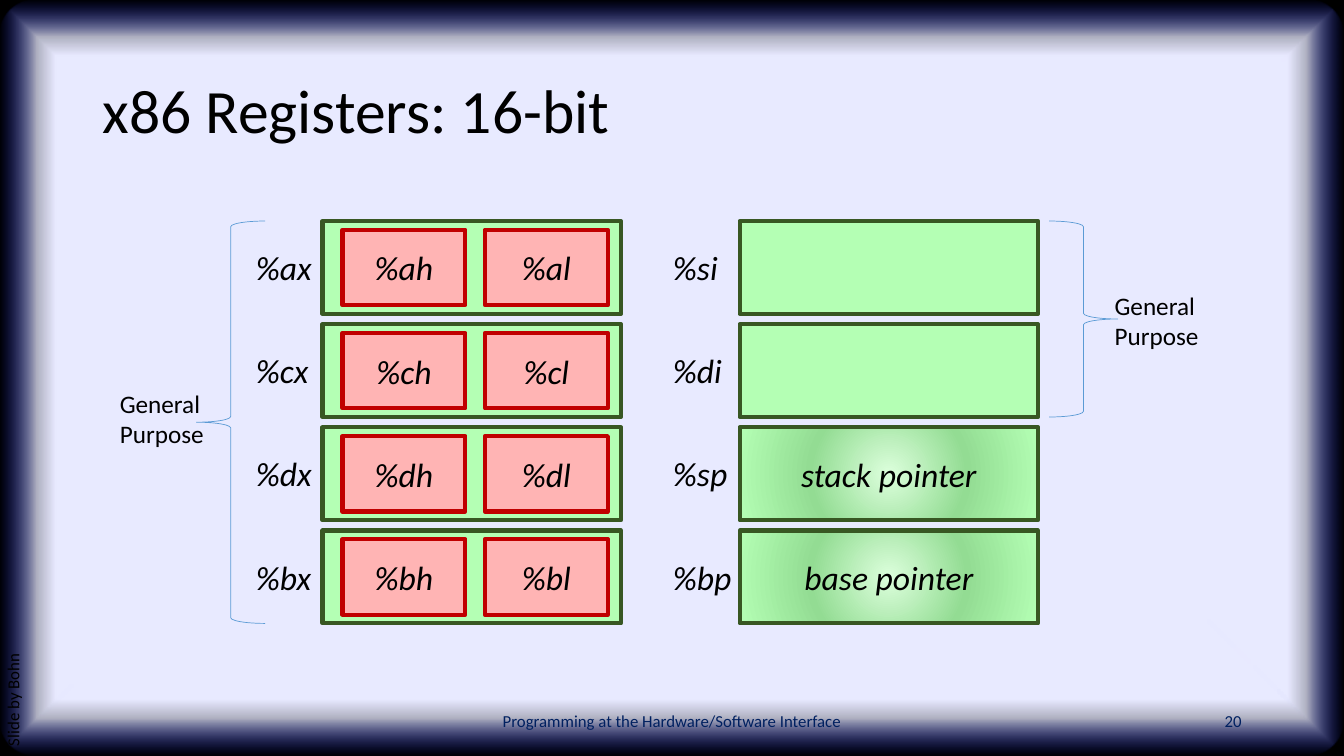
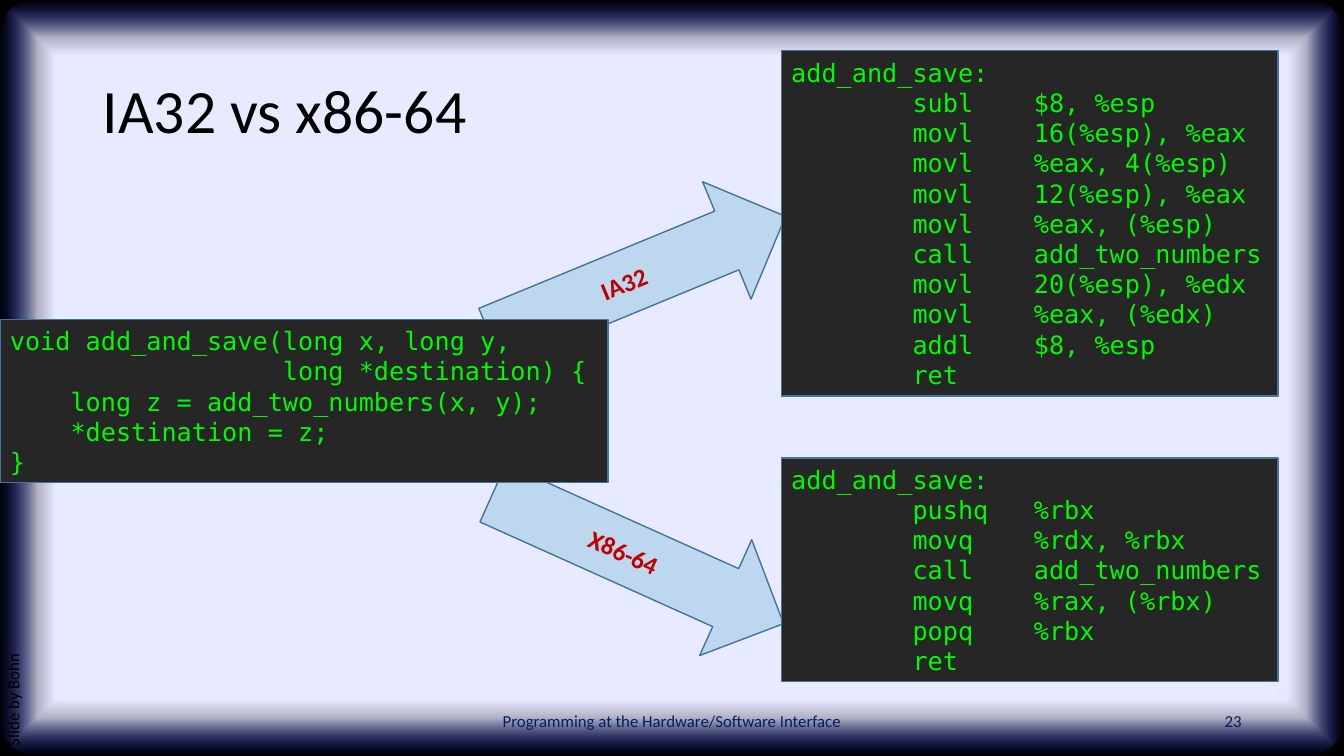
from lxml import etree
from pptx import Presentation
from pptx.dml.color import RGBColor
from pptx.enum.shapes import MSO_SHAPE
from pptx.enum.text import MSO_ANCHOR, MSO_AUTO_SIZE, PP_ALIGN
from pptx.oxml.ns import qn
from pptx.util import Cm, Pt

RECT, ROUND = MSO_SHAPE.RECTANGLE, MSO_SHAPE.ROUNDED_RECTANGLE
ARROW = MSO_SHAPE.RIGHT_ARROW
LEFT_BRACE, RIGHT_BRACE = MSO_SHAPE.LEFT_BRACE, MSO_SHAPE.RIGHT_BRACE
LEFT, CENTER, RIGHT = PP_ALIGN.LEFT, PP_ALIGN.CENTER, PP_ALIGN.RIGHT
TOP, MIDDLE = MSO_ANCHOR.TOP, MSO_ANCHOR.MIDDLE
NO_AUTOFIT = MSO_AUTO_SIZE.NONE

BODY_FONT, CODE_FONT = "Calibri", "DejaVu Sans Mono"
COLORS = {
    "text": "000000", "frame": "000000", "footer": "002060",
    "register": "B4FFB4", "register edge": "385723",
    "half": "FFB4B4", "half edge": "C00000",
    "brace": "5B9BD5", "code": "00FA00", "code back": "262626",
    "edge": "43739E", "arrow": "BDD7EE", "arrow text": "C00000",
}
# Gradients: path kind, then stops of position, colour and opacity in percent
GLOW = ("shape", [(85, "E8EAFF", 100), (90, "E8EAFF", 75), (100, "162AFF", 0)])
POINTER = ("circle", [(0, "DCFFDC", 100), (50, "93DC93", 100), (100, "B4FFB4", 100)])


def add_box(slide, kind, place, fill=None, edge=None, width=1):
    """Add a preset shape; fill is a colour name, a gradient or None."""
    box = slide.shapes.add_shape(kind, *[Cm(v) for v in place])
    box.shadow.inherit = False
    if isinstance(fill, str):
        box.fill.solid()
        box.fill.fore_color.rgb = RGBColor.from_string(COLORS[fill])
    else:
        box.fill.background()
    if isinstance(fill, tuple):
        path_kind, stops = fill
        gradient = etree.Element(qn("a:gradFill"), rotWithShape="1")
        stop_list = etree.SubElement(gradient, qn("a:gsLst"))
        for position, color, opacity in stops:
            stop = etree.SubElement(stop_list, qn("a:gs"), pos=str(position * 1000))
            tint = etree.SubElement(stop, qn("a:srgbClr"), val=color)
            if opacity < 100:
                etree.SubElement(tint, qn("a:alpha"), val=str(opacity * 1000))
        shading = etree.SubElement(gradient, qn("a:path"), path=path_kind)
        etree.SubElement(shading, qn("a:fillToRect"), l="50000", t="50000",
                         r="50000", b="50000")
        properties = box._element.spPr
        properties.replace(properties.find(qn("a:noFill")), gradient)
    if edge:
        box.line.color.rgb = RGBColor.from_string(COLORS[edge])
        box.line.width = Pt(width)
    else:
        box.line.fill.background()
    return box


def write(shape, lines, size, color="text", font=BODY_FONT, align=LEFT,
          anchor=MIDDLE, bold=False, italic=False, spacing=1.0):
    """Write one paragraph per line into a shape."""
    frame = shape.text_frame
    frame.word_wrap = True
    frame.auto_size = NO_AUTOFIT
    frame.vertical_anchor = anchor
    for index, line in enumerate(lines):
        paragraph = frame.paragraphs[0] if index == 0 else frame.add_paragraph()
        paragraph.alignment = align
        paragraph.line_spacing = spacing
        paragraph.space_before = Pt(0)
        run = paragraph.add_run()
        run.text = line
        run.font.name, run.font.size = font, Pt(size)
        run.font.bold, run.font.italic = bold, italic
        run.font.color.rgb = RGBColor.from_string(COLORS[color])


WIDTH, HEIGHT = 33.87, 19.05
deck = Presentation()
deck.slide_width, deck.slide_height = Cm(WIDTH), Cm(HEIGHT)
layout = deck.slide_layouts[1]

# Titles, credits and footers
slides = []
for heading, number in [("x86 Registers: 16-bit", "20"), ("IA32 vs x86-64", "23")]:
    slide = deck.slides.add_slide(layout)
    slides.append(slide)
    title, credit = slide.placeholders
    title.left, title.top, title.width, title.height = Cm(2.34), Cm(1.02), Cm(29.21), Cm(3.68)
    write(title, [heading], 44, spacing=0.9)

    credit.left, credit.top, credit.width, credit.height = Cm(-6.2), Cm(11.84), Cm(13.41), Cm(1.02)
    credit.rotation = 270
    credit_format = credit.text_frame.paragraphs[0]._p.get_or_add_pPr()
    credit_format.set("marL", "0")
    credit_format.set("indent", "0")
    etree.SubElement(credit_format, qn("a:buNone"))
    write(credit, ["Slide by Bohn"], 12, anchor=TOP, spacing=0.9)

    for text, left, width, align in [
        ("Programming at the Hardware/Software Interface", 11.22, 11.43, CENTER),
        (number, 23.92, 7.62, RIGHT),
    ]:
        footer = slide.shapes.add_textbox(Cm(left), Cm(17.65), Cm(width), Cm(1.02))
        write(footer, [text], 12, "footer", align=align)
registers, comparison = slides

# Backdrop, moved to the back of the master
backdrop = add_box(registers, RECT, (0, 0, WIDTH, HEIGHT), "frame")
glow = add_box(registers, ROUND, (0, 0, WIDTH, HEIGHT), GLOW)
glow.adjustments[0] = 0.05
for depth, layer in enumerate([backdrop, glow]):
    deck.slide_master.shapes._spTree.insert(2 + depth, layer._element)

# Registers: names, boxes and their high and low halves
FIRST_ROW, ROW_STEP, ROW_HEIGHT = 5.57, 2.6, 2.34
COLUMNS = [
    (8.13, [("%ax", ["%ah", "%al"]), ("%cx", ["%ch", "%cl"]),
            ("%dx", ["%dh", "%dl"]), ("%bx", ["%bh", "%bl"])]),
    (18.64, [("%si", []), ("%di", []), ("%sp", "stack pointer"),
             ("%bp", "base pointer")]),
]
for left, rows in COLUMNS:
    for row, (name, content) in enumerate(rows):
        top = FIRST_ROW + row * ROW_STEP
        pointer = isinstance(content, str)
        register = add_box(registers, RECT, (left, top, 7.52, ROW_HEIGHT),
                           POINTER if pointer else "register", "register edge", 3)
        if pointer:
            write(register, [content], 24, align=CENTER, italic=True)
        else:
            for side, half_name in enumerate(content):
                half = add_box(registers, RECT,
                               (left + 0.5 + side * 3.59, top + 0.22, 3.1, 1.9),
                               "half", "half edge", 3)
                write(half, [half_name], 24, align=CENTER, italic=True)
        label = registers.shapes.add_textbox(Cm(left - 1.93), Cm(top + 0.53), Cm(2.1), Cm(1.27))
        write(label, [name], 24, anchor=TOP, italic=True)

# Braces around the general purpose registers
for kind, left, row_count, label_left, label_top in [
    (RIGHT_BRACE, 26.44, 2, 27.84, 7.19),
    (LEFT_BRACE, 4.95, 4, 2.77, 9.65),
]:
    span = (row_count - 1) * ROW_STEP + ROW_HEIGHT
    add_box(registers, kind, (left, FIRST_ROW, 1.73, span), None, "brace", 0.5)
    purpose = registers.shapes.add_textbox(Cm(label_left), Cm(label_top), Cm(2.8), Cm(1.8))
    write(purpose, ["General", "Purpose"], 18, anchor=TOP)

# Arrows from the source code to each assembly listing
for text, top, angle in [("IA32", 5.38, 337.6), ("X86-64", 12.47, 24.2)]:
    arrow = add_box(comparison, ARROW, (12.07, top, 8.03, 3.2), "arrow", "edge")
    arrow.rotation = angle
    write(arrow, [text], 18, "arrow text", align=CENTER, bold=True)

# Code listings
X86_64_CODE = """add_and_save:
        pushq   %rbx
        movq    %rdx, %rbx
        call    add_two_numbers
        movq    %rax, (%rbx)
        popq    %rbx
        ret"""
IA32_CODE = """add_and_save:
        subl    $8, %esp
        movl    16(%esp), %eax
        movl    %eax, 4(%esp)
        movl    12(%esp), %eax
        movl    %eax, (%esp)
        call    add_two_numbers
        movl    20(%esp), %edx
        movl    %eax, (%edx)
        addl    $8, %esp
        ret"""
C_CODE = """void add_and_save(long x, long y,
                  long *destination) {
    long z = add_two_numbers(x, y);
    *destination = z;
}"""
for code, place in [
    (X86_64_CODE, (19.69, 11.54, 12.52, 5.64)),
    (IA32_CODE, (19.69, 1.27, 12.52, 8.71)),
    (C_CODE, (0, 8.05, 15.32, 4.11)),
]:
    listing = add_box(comparison, RECT, place, "code back", "edge")
    write(listing, code.split("\n"), 18, "code", CODE_FONT)

deck.save("out.pptx")
